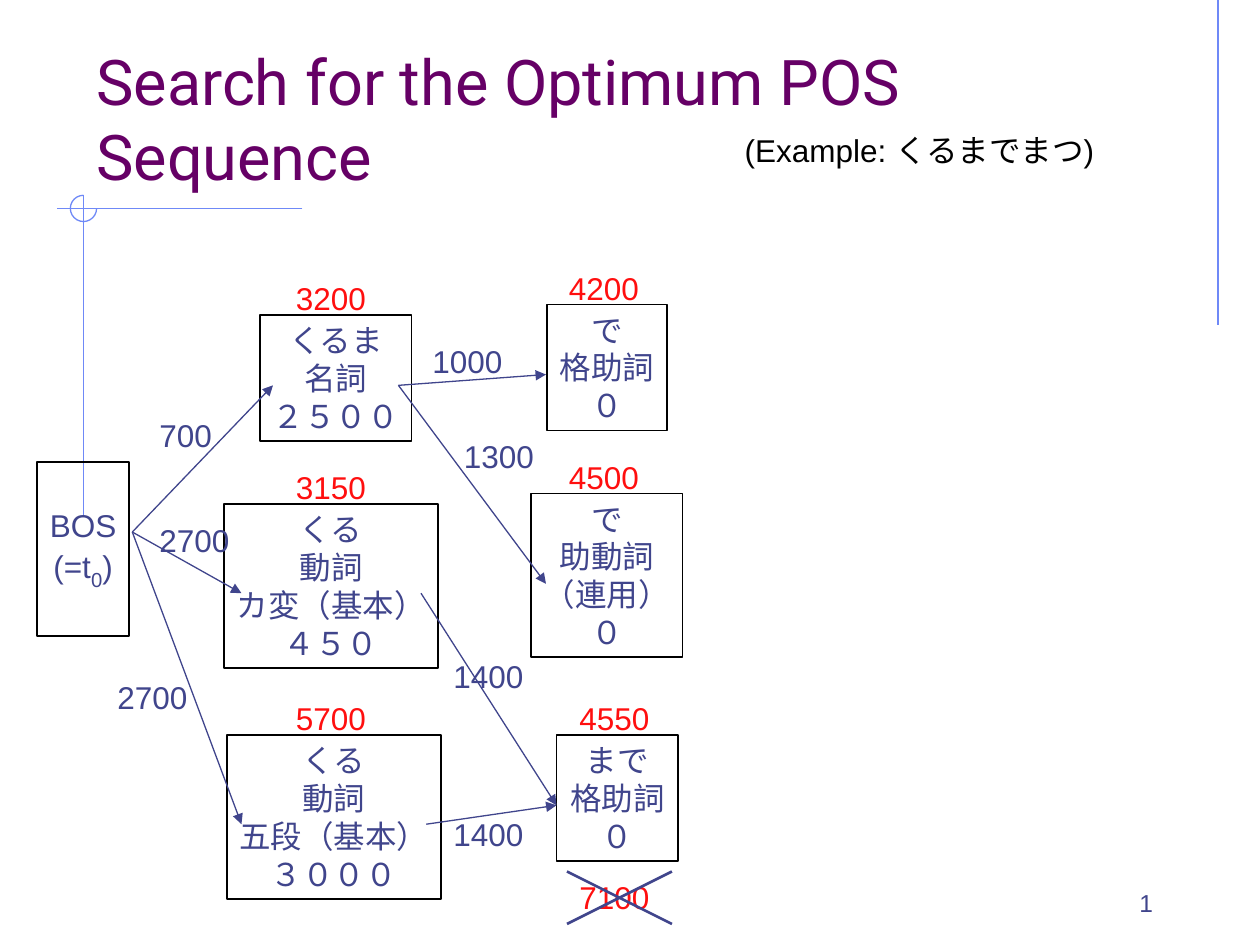
import pptx
import pptx.util
import pptx.oxml.ns
from lxml import etree
from pptx.dml.color import RGBColor
from pptx.enum.shapes import MSO_CONNECTOR, MSO_SHAPE
from pptx.enum.text import MSO_ANCHOR, MSO_AUTO_SIZE, PP_ALIGN

COLORS = {"ink": "40458C", "score": "FF0F0F", "title": "660066",
          "border": "000000", "frame": "6F89F7"}

# Content; positions are columns and rows of a 120 x 90 grid
COLUMNS, ROWS = 120, 90
BOS_LINES = ["BOS", [("(=t", {}), ("0", {"size": 20, "baseline": -25000}), (")", {})]]

# name: lines, left, top, width, best score, score column, arrow in, arrow out
WORDS = {
    "noun": (["くるま", "名詞", "２５００"], 24.8, 30, 14.4, "3200", 27,
             (26, 36.7), (37.95, 36.7)),
    "ka verb": (["くる", "動詞", "カ変（基本）", "４５０"], 21.33, 48, 20.4, "3150", 27,
                (23, 56.5), (40.1, 56.5)),
    "godan verb": (["くる", "動詞", "五段（基本）", "３０００"], 21.6, 70, 20.4, "5700", 27,
                   (23, 78.5), (40.6, 78.5)),
    "de particle": (["で", "格助詞", "０"], 52.1, 29, 11.4, "4200", 53,
                    (52, 35.67), None),
    "de auxiliary": (["で", "助動詞", "（連用）", "０"], 50.6, 47, 14.4, "4500", 53,
                     (52, 55.6), None),
    "made particle": (["まで", "格助詞", "０"], 53, 70, 11.6, "4550", 54,
                      (53, 76.7), None),
}
BOS_OUT = (12.6, 50.67)

# from, to, cost, cost column, cost row
TRANSITIONS = [
    ("BOS", "noun", "700", 14, 39),
    ("BOS", "ka verb", "2700", 14, 49),
    ("BOS", "godan verb", "2700", 10, 64),
    ("noun", "de particle", "1000", 40, 32),
    ("noun", "de auxiliary", "1300", 43, 41),
    ("ka verb", "made particle", "1400", 42, 62),
    ("godan verb", "made particle", "1400", 42, 77),
]
FRAME_LINES = [((116, 0), (116, 31)), ((28.8, 19.87), (5.4, 19.87)),
               ((7.97, 18.6), (7.97, 49.1))]
CROSS_LINES = [((54, 83), (64, 88)), ((54, 88), (64, 83))]

deck = pptx.Presentation()
deck.slide_width = pptx.util.Inches(10)
deck.slide_height = pptx.util.Inches(7.5)
page = deck.slides.add_slide(deck.slide_layouts[6])


def place(*lengths):
    """Turn alternating columns and rows into slide lengths."""
    units = (deck.slide_width / COLUMNS, deck.slide_height / ROWS)
    return [round(length * units[index % 2]) for index, length in enumerate(lengths)]


def color(name):
    return RGBColor.from_string(COLORS[name])


def add_text(lines, left, top, width, height, *, size=18, font="Arial", ink="ink",
             align=PP_ALIGN.LEFT, anchor=MSO_ANCHOR.TOP, wrap=False, border=None,
             top_margin=0.05):
    """Add text, inside a rectangle when a border colour is given."""
    area = place(left, top, width, height)
    if border:
        box = page.shapes.add_shape(MSO_SHAPE.RECTANGLE, *area)
        box.shadow.inherit = False
        box.fill.background()
        box.line.color.rgb = color(border)
        box.line.width = pptx.util.Pt(1)
    else:
        box = page.shapes.add_textbox(*area)
    frame = box.text_frame
    frame.word_wrap = wrap
    if not wrap and not border:
        frame.auto_size = MSO_AUTO_SIZE.SHAPE_TO_FIT_TEXT
    frame.vertical_anchor = anchor
    frame.margin_top = pptx.util.Inches(top_margin)
    for index, line in enumerate(lines):
        para = frame.paragraphs[0] if index == 0 else frame.add_paragraph()
        para.alignment = align
        for text, style in [(line, {})] if isinstance(line, str) else line:
            span = para.add_run()
            span.text = text
            span.font.name = font
            span.font.size = pptx.util.Pt(style.get("size", size))
            span.font.color.rgb = color(ink)
            if "baseline" in style:
                span.font._element.set("baseline", str(style["baseline"]))


def add_number(text, left, top, ink="ink"):
    add_text([text], left, top, 2.4 + 1.67 * len(text), 4.8, ink=ink)


def add_line(start, end, ink="ink", weight=0.75, arrow=False):
    line = page.shapes.add_connector(MSO_CONNECTOR.STRAIGHT, *place(*start, *end))
    line.line.color.rgb = color(ink)
    line.line.width = pptx.util.Pt(weight)
    if arrow:
        etree.SubElement(line.line._get_or_add_ln(), pptx.oxml.ns.qn("a:tailEnd"),
                         type="triangle")
    etree.SubElement(line._element.spPr, pptx.oxml.ns.qn("a:effectLst"))


# Page frame: lines and three quarters of a circle
for start, end in FRAME_LINES:
    add_line(start, end, ink="frame")
arc = page.shapes.add_shape(MSO_SHAPE.ARC, *place(6.7, 18.6, 2.5, 2.5))
arc.adjustments[0], arc.adjustments[1] = 0, 162  # 0 to 270 degrees
arc.shadow.inherit = False
arc.fill.background()
arc.line.color.rgb = color("frame")
arc.line.width = pptx.util.Pt(0.75)

# Heading, example and page number
add_text(["Search for the Optimum POS Sequence"], 8, 4, 102, 15, size=36,
         font="Roboto", ink="title", anchor=MSO_ANCHOR.BOTTOM, wrap=True)
add_text(["(Example: くるまでまつ)"], 69.75, 11.92, 37.2, 4.8, ink="border", wrap=True)
add_text(["1"], 86, 82, 25, 6, size=14, align=PP_ALIGN.RIGHT,
         anchor=MSO_ANCHOR.BOTTOM, wrap=True)

# Word boxes with their best scores above
add_text(BOS_LINES, 3.55, 44, 8.75, 16.6, align=PP_ALIGN.CENTER, border="border",
         top_margin=0.35)
for lines, left, top, width, score, score_left, _, _ in WORDS.values():
    add_text(lines, left, top, width, 1.2 + 3.6 * len(lines),
             align=PP_ALIGN.CENTER, border="border")
    add_number(score, score_left, top - 4, ink="score")

# Transitions with their costs
for source, target, cost, left, top in TRANSITIONS:
    start = BOS_OUT if source == "BOS" else WORDS[source][7]
    add_line(start, WORDS[target][6], arrow=True)
    add_number(cost, left, top)

# Rejected score, crossed out
add_number("7100", 54, 83, ink="score")
for start, end in CROSS_LINES:
    add_line(start, end, weight=1.5)

deck.save("out.pptx")
